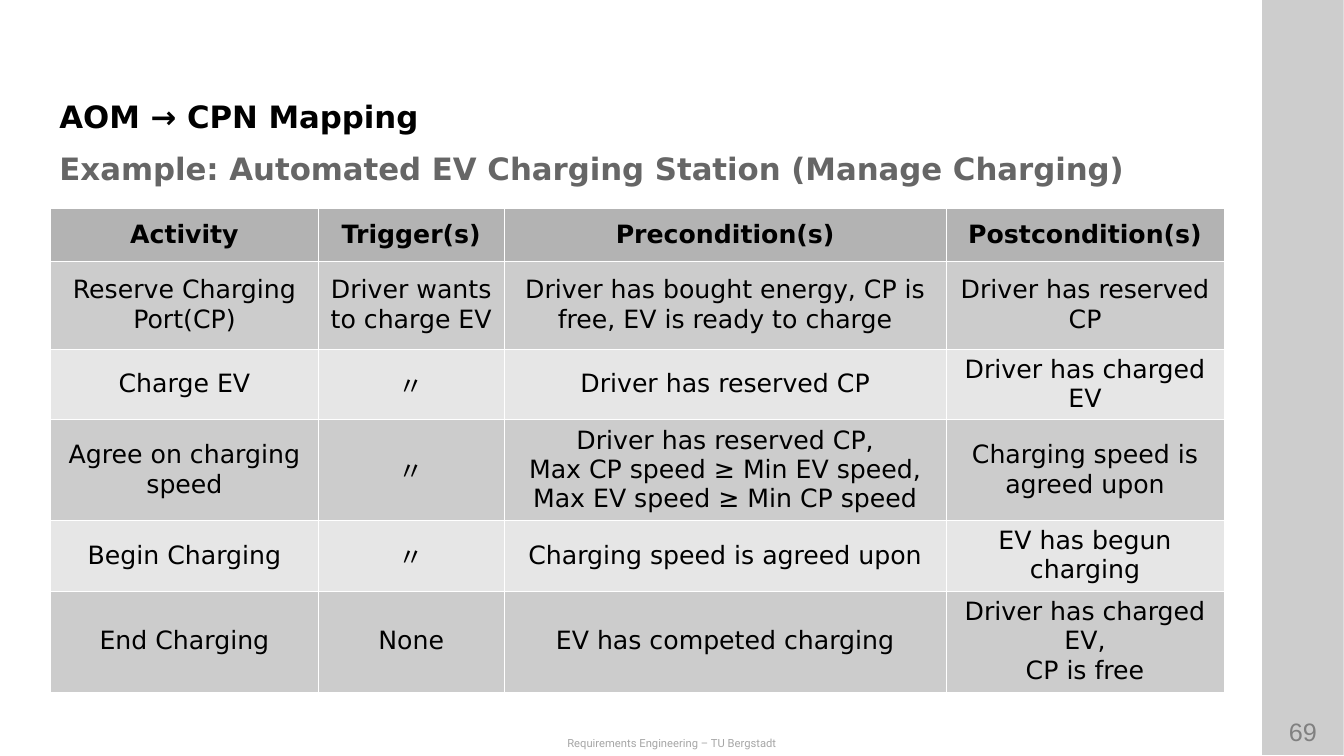
"""Build the slide that maps AOM activities of an EV charging station to CPN."""
from dataclasses import dataclass

import lxml.etree
import pptx
import pptx.dml.color
import pptx.enum.shapes
import pptx.enum.text
import pptx.oxml.ns
import pptx.slide
import pptx.table
import pptx.text.text
import pptx.util

Pt = pptx.util.Pt
Align = pptx.enum.text.PP_ALIGN
Anchor = pptx.enum.text.MSO_ANCHOR


@dataclass(frozen=True)
class Theme:
    """Colours, fonts and type sizes."""
    black: str = "000000"
    white: str = "FFFFFF"
    subtitle: str = "666666"
    number: str = "808080"
    footer: str = "A6A6A6"
    header: str = "B3B3B3"
    bands: tuple[str, str] = ("CCCCCC", "E6E6E6")
    body_font: str = "DejaVu Sans"
    number_font: str = "Arial"
    footer_font: str = "Roboto"
    title_size: float = 22
    body_size: float = 18
    footer_size: float = 8
    border_width: float = 0.06
    bar_opacity: int = 10


THEME = Theme()


@dataclass(frozen=True)
class Style:
    """Look of a text run."""
    font: str
    size: float
    color: str
    bold: bool = False


@dataclass(frozen=True)
class Label:
    """A text box with its place in points."""
    text: str
    left: float
    top: float
    width: float
    height: float
    style: Style
    align: Align = Align.CENTER
    anchor: Anchor = Anchor.TOP
    inset: tuple[float, float] = (7.2, 3.6)
    grow: bool = True


BODY = Style(THEME.body_font, THEME.body_size, THEME.black)
HEAD = Style(THEME.body_font, THEME.body_size, THEME.black, True)
TITLE = Style(THEME.body_font, THEME.title_size, THEME.black, True)
SUBTITLE = Style(THEME.body_font, THEME.title_size, THEME.subtitle, True)
NUMBER = Style(THEME.number_font, THEME.body_size, THEME.number)
FOOTER = Style(THEME.footer_font, THEME.footer_size, THEME.footer)

LABELS = (
    Label("69", 900.72, 508.32, 59.76, 28.8, NUMBER),
    Label("Requirements Engineering – TU Bergstadt", 0, 522.72, 960, 16.56, FOOTER),
    Label("AOM → CPN Mapping", 42.48, 56.88, 815.76, 39.6, TITLE,
          Align.LEFT, Anchor.BOTTOM, (0, 0), False),
    Label("Example: Automated EV Charging Station (Manage Charging)",
          42.48, 100.08, 815.76, 39.6, SUBTITLE, Align.LEFT, Anchor.MIDDLE, (0, 0), False),
)

COL_WIDTHS = (191.52, 132.48, 316.08, 198)
ROW_HEIGHTS = (38.16, 62.64, 41.76, 62.64, 17.28, 17.28)
DITTO = "〃"
DITTO_SPACE = 1.4
TRIGGER_COL = 1
ROWS = (
    ("Activity", "Trigger(s)", "Precondition(s)", "Postcondition(s)"),
    ("Reserve Charging Port(CP)", "Driver wants to charge EV",
     "Driver has bought energy, CP is free, EV is ready to charge", "Driver has reserved CP"),
    ("Charge EV", DITTO, "Driver has reserved CP", "Driver has charged EV"),
    ("Agree on charging speed", DITTO,
     "Driver has reserved CP,\nMax CP speed ≥ Min EV speed,\nMax EV speed ≥ Min CP speed",
     "Charging speed is agreed upon"),
    ("Begin Charging", DITTO, "Charging speed is agreed upon", "EV has begun charging"),
    ("End Charging", "None", "EV has competed charging", "Driver has charged EV,\nCP is free"),
)


def rgb(color: str) -> pptx.dml.color.RGBColor:
    """Turn a hex string into a colour."""
    return pptx.dml.color.RGBColor.from_string(color)


def write(tf: pptx.text.text.TextFrame, text: str, style: Style,
          align: Align, space: float = 0) -> None:
    """Fill a text frame with one paragraph per line of text."""
    for i, line in enumerate(text.split("\n")):
        p = tf.add_paragraph() if i else tf.paragraphs[0]
        p.alignment = align
        p.space_before = Pt(space)
        r = p.add_run()
        r.text = line
        r.font.name = style.font
        r.font.size = Pt(style.size)
        r.font.bold = style.bold
        r.font.color.rgb = rgb(style.color)


def add_bar(s: pptx.slide.Slide) -> None:
    """Draw a translucent bar on the right edge."""
    sp = s.shapes.add_shape(pptx.enum.shapes.MSO_SHAPE.RECTANGLE,
                            Pt(901.44), Pt(0), Pt(58.32), Pt(539.28))
    sp.shadow.inherit = False
    sp.line.fill.background()
    sp.fill.solid()
    sp.fill.fore_color.rgb = rgb(THEME.black)
    color = sp.fill._xPr.find(".//" + pptx.oxml.ns.qn("a:srgbClr"))
    lxml.etree.SubElement(color, pptx.oxml.ns.qn("a:alpha"), val=str(THEME.bar_opacity * 1000))


def add_label(s: pptx.slide.Slide, label: Label) -> None:
    """Draw one text box."""
    sp = s.shapes.add_textbox(Pt(label.left), Pt(label.top), Pt(label.width), Pt(label.height))
    tf = sp.text_frame
    tf.word_wrap = True
    tf.vertical_anchor = label.anchor
    tf.margin_left = tf.margin_right = Pt(label.inset[0])
    tf.margin_top = tf.margin_bottom = Pt(label.inset[1])
    sizes = pptx.enum.text.MSO_AUTO_SIZE
    tf.auto_size = sizes.SHAPE_TO_FIT_TEXT if label.grow else sizes.NONE
    write(tf, label.text, label.style, label.align)


def add_borders(cell: pptx.table._Cell) -> None:
    """Put a thin line on all four sides of a cell."""
    qn = pptx.oxml.ns.qn
    tcPr = cell._tc.get_or_add_tcPr()
    for i, side in enumerate(("a:lnL", "a:lnR", "a:lnT", "a:lnB")):
        ln = lxml.etree.Element(qn(side), w=str(Pt(THEME.border_width)))
        fill = lxml.etree.SubElement(ln, qn("a:solidFill"))
        lxml.etree.SubElement(fill, qn("a:srgbClr"), val=THEME.white)
        tcPr.insert(i, ln)


def add_mapping_table(s: pptx.slide.Slide) -> None:
    """Draw the table of activities and their conditions."""
    table = s.shapes.add_table(len(ROWS), len(COL_WIDTHS), Pt(36), Pt(148.32),
                               Pt(sum(COL_WIDTHS)), Pt(sum(ROW_HEIGHTS))).table
    table.horz_banding = False
    for col, width in zip(table.columns, COL_WIDTHS):
        col.width = Pt(width)
    for i, (row, height, texts) in enumerate(zip(table.rows, ROW_HEIGHTS, ROWS)):
        row.height = Pt(height)
        for j, (cell, text) in enumerate(zip(row.cells, texts)):
            cell.fill.solid()
            cell.fill.fore_color.rgb = rgb(THEME.bands[(i - 1) % 2] if i else THEME.header)
            cell.vertical_anchor = Anchor.MIDDLE
            cell.margin_left = cell.margin_right = Pt(7.2)
            cell.margin_top = cell.margin_bottom = Pt(3.6)
            space = DITTO_SPACE if j == TRIGGER_COL and i > 1 else 0
            write(cell.text_frame, text, BODY if i else HEAD, Align.CENTER, space)
            add_borders(cell)


def main() -> None:
    """Build and save the slide."""
    prs = pptx.Presentation()
    prs.slide_width, prs.slide_height = Pt(960), Pt(540)
    s = prs.slides.add_slide(prs.slide_layouts[6])
    for _ in range(2):
        add_bar(s)
    for label in LABELS:
        add_label(s, label)
    add_mapping_table(s)
    prs.save("out.pptx")


if __name__ == "__main__":
    main()
